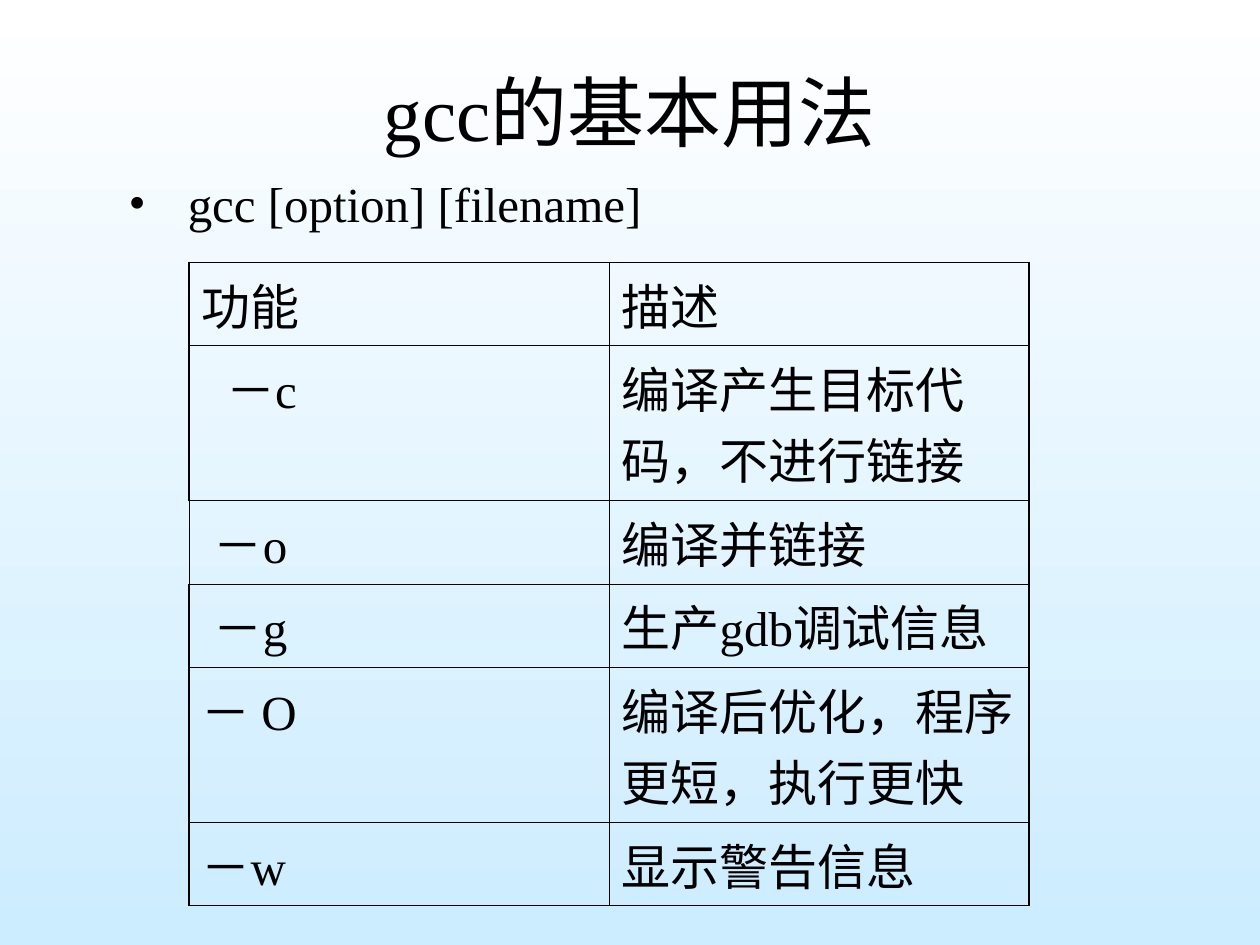
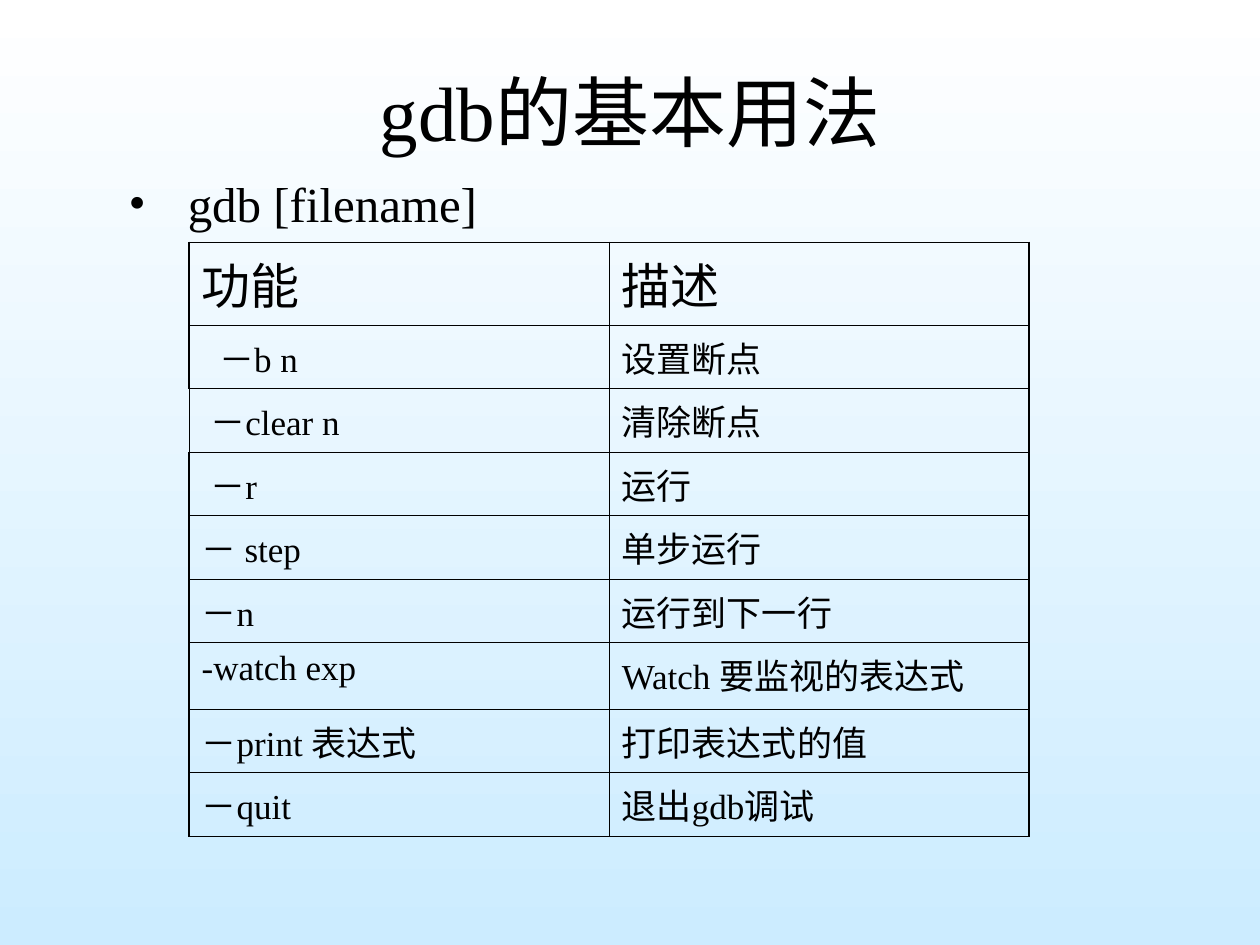
from dataclasses import dataclass

import lxml.etree
import pptx
import pptx.dml.color
import pptx.enum.lang
import pptx.enum.text
import pptx.oxml.ns
import pptx.util

Inches = pptx.util.Inches
Pt = pptx.util.Pt
qn = pptx.oxml.ns.qn


@dataclass(frozen=True)
class Theme:
    font: str = "Times New Roman"
    ink: str = "000000"
    sky_top: str = "FFFFFF"
    sky_bottom: str = "CCECFF"
    title_size: int = 44
    body_size: int = 28
    small_size: int = 20
    thin_line: float = 0.45
    thick_line: float = 1.08


@dataclass(frozen=True)
class Box:
    left: float
    top: float
    width: float
    height: float


@dataclass(frozen=True)
class Option:
    """One table row; indent counts the word spaces before the name."""
    name: str
    description: str
    height: float
    indent: int = 0


THEME = Theme()
TITLE_BOX = Box(0.75, 0.25, 8.5, 1.25)
BODY_BOX = Box(0.92, 1.33, 8.67, 5.33)
HEADING = Option("功能", "描述", 0.66)
THIN_LEFT_ROW = 2

GCC_OPTIONS = [
    Option("－c", "编译产生目标代码，不进行链接", 1.23, 2),
    Option("－o", "编译并链接", 0.66, 1),
    Option("－g", "生产gdb调试信息", 0.66, 1),
    Option("－ O", "编译后优化，程序更短，执行更快", 1.23),
    Option("－w", "显示警告信息", 0.66),
]
GDB_OPTIONS = [
    Option("－b n", "设置断点", 0.5, 2),
    Option("－clear n", "清除断点", 0.5, 1),
    Option("－r", "运行", 0.5, 1),
    Option("－ step", "单步运行", 0.5),
    Option("－n", "运行到下一行", 0.5),
    Option("-watch exp", "Watch 要监视的表达式", 0.53),
    Option("－print 表达式", "打印表达式的值", 0.5),
    Option("－quit", "退出gdb调试", 0.5),
]


def rgb(value):
    return pptx.dml.color.RGBColor.from_string(value)


def paint_background(master):
    fill = master.background.fill
    fill.gradient()
    fill.gradient_angle = 270
    for stop, color in zip(fill.gradient_stops, (THEME.sky_top, THEME.sky_bottom)):
        stop.color.rgb = rgb(color)


def write(paragraph, text, size, space_before=0):
    """Add one styled run; punctuation stays inside the text area."""
    paragraph.space_before = Pt(space_before)
    paragraph._p.get_or_add_pPr().set("hangingPunct", "0")
    run = paragraph.add_run()
    run.text = text
    run.font.size = Pt(size)
    run.font.name = THEME.font
    run.font.color.rgb = rgb(THEME.ink)
    run.font.language_id = pptx.enum.lang.MSO_LANGUAGE_ID.SIMPLIFIED_CHINESE


def place(shape, box):
    shape.left, shape.top = Inches(box.left), Inches(box.top)
    shape.width, shape.height = Inches(box.width), Inches(box.height)
    shape.text_frame.auto_size = pptx.enum.text.MSO_AUTO_SIZE.NONE


def fill_title(shape, box, text):
    place(shape, box)
    shape.text_frame.vertical_anchor = pptx.enum.text.MSO_ANCHOR.MIDDLE
    paragraph = shape.text_frame.paragraphs[0]
    paragraph.alignment = pptx.enum.text.PP_ALIGN.CENTER
    write(paragraph, text, THEME.title_size)


def fill_usage(shape, box, text):
    """Write the command line as a bullet with a hanging indent."""
    place(shape, box)
    paragraph = shape.text_frame.paragraphs[0]
    write(paragraph, text, THEME.body_size, 7)
    properties = paragraph._p.get_or_add_pPr()
    hanging = Inches(0.47)
    properties.set("marL", str(hanging))
    properties.set("indent", str(-hanging))
    lxml.etree.SubElement(properties, qn("a:buFont"), typeface=THEME.font)
    lxml.etree.SubElement(properties, qn("a:buChar"), char="•")


def draw_borders(cell, thick_side):
    properties = cell._tc.get_or_add_tcPr()
    for side in "LRTB":
        width = THEME.thick_line if side == thick_side else THEME.thin_line
        line = lxml.etree.SubElement(properties, qn(f"a:ln{side}"), w=str(Pt(width)))
        fill = lxml.etree.SubElement(line, qn("a:solidFill"))
        lxml.etree.SubElement(fill, qn("a:srgbClr"), val=THEME.ink)


def fill_cell(cell, text, size, thick_side, indent=0):
    draw_borders(cell, thick_side)
    cell.fill.background()
    paragraph = cell.text_frame.paragraphs[0]
    write(paragraph, text, size, size / 4)
    if indent:
        paragraph._p.get_or_add_pPr().set("marL", str(Pt(indent * size / 4)))


def add_option_table(slide, box, options, size):
    rows = [HEADING, *options]
    table = slide.shapes.add_table(
        len(rows), 2, Inches(box.left), Inches(box.top),
        Inches(box.width), Inches(box.height)).table
    table.first_row = table.horz_banding = False
    for index, option in enumerate(rows):
        table.rows[index].height = Inches(option.height)
        left_edge = None if index == THIN_LEFT_ROW else "L"
        text_size = THEME.body_size if option is HEADING else size
        fill_cell(table.cell(index, 0), option.name, text_size,
                  left_edge, option.indent)
        fill_cell(table.cell(index, 1), option.description, text_size, "R")


def add_command_slide(presentation, command, arguments, options, size, table_top):
    slide = presentation.slides.add_slide(presentation.slide_layouts[1])
    fill_title(slide.shapes.title, TITLE_BOX, f"{command}的基本用法")
    fill_usage(slide.placeholders[1], BODY_BOX, f"{command} {arguments}")
    height = HEADING.height + sum(option.height for option in options)
    add_option_table(slide, Box(1.5, table_top, 6.67, height), options, size)


def main():
    presentation = pptx.Presentation()
    presentation.slide_width, presentation.slide_height = Inches(10), Inches(7.5)
    paint_background(presentation.slide_master)
    add_command_slide(presentation, "gcc", "[option] [filename]",
                      GCC_OPTIONS, THEME.body_size, 2.08)
    add_command_slide(presentation, "gdb", "[filename]",
                      GDB_OPTIONS, THEME.small_size, 1.92)
    presentation.save("out.pptx")


if __name__ == "__main__":
    main()
